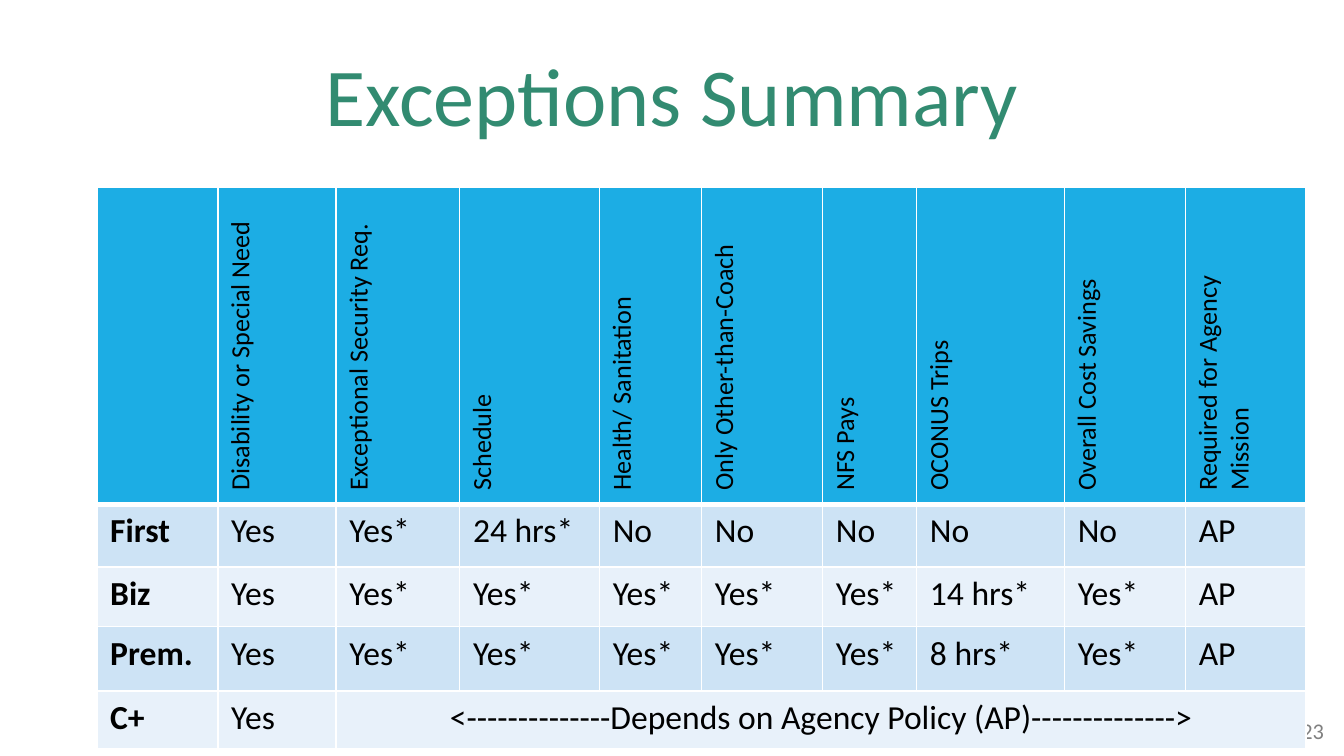
import dataclasses

import lxml.etree
import pptx
import pptx.dml.color
import pptx.enum.text
import pptx.oxml.ns
import pptx.util

ALIGN = pptx.enum.text.PP_ALIGN
ANCHOR = pptx.enum.text.MSO_ANCHOR


@dataclasses.dataclass(frozen=True)
class Theme:
    """Colours, font and type sizes of the deck."""

    font: str = "Calibri"
    title: str = "328B71"
    ink: str = "000000"
    muted: str = "808080"
    header: str = "1CADE4"
    bands: tuple = ("CDE3F5", "E8F1FA")
    rule: str = "FFFFFF"
    title_size: int = 44
    body_size: int = 18
    header_size: int = 14
    number_size: int = 12


THEME = Theme()
PAGE_WIDTH = 10
PAGE_HEIGHT = PAGE_WIDTH * 9 / 16
TITLE_BOX = (0.5, 0.23, 9, 0.94)
NUMBER_BOX = (9.39, 5.29, 0.56, 0.3)
TABLE_BOX = (0.72, 1.39, 9, 3.4)
COLUMNS = (0.9, 0.88, 0.92, 1.04, 0.76, 0.9, 0.7, 1.1, 0.9, 0.9)
ROWS = (1.58, 0.47, 0.44, 0.48, 0.43)
EXCEPTIONS = (
    "", "Disability or Special Need", "Exceptional Security Req.", "Schedule",
    "Health/ Sanitation", "Only Other-than-Coach", "NFS Pays", "OCONUS Trips",
    "Overall Cost Savings", "Required for Agency Mission",
)
CLASSES = (
    ("First", "Yes", "Yes*", "24 hrs*", *["No"] * 5, "AP"),
    ("Biz", "Yes", *["Yes*"] * 5, "14 hrs*", "Yes*", "AP"),
    ("Prem.", "Yes", *["Yes*"] * 5, "8 hrs*", "Yes*", "AP"),
    ("C+", "Yes", "<--------------Depends on Agency Policy (AP)-------------->"),
)


def colour(value):
    """Turn a hex value into a colour."""
    return pptx.dml.color.RGBColor.from_string(value)


def write(frame, text, size, ink, align=ALIGN.LEFT, bold=False):
    """Write one styled paragraph into a text frame."""
    para = frame.paragraphs[0]
    para.text = text
    para.alignment = align
    para.font.name = THEME.font
    para.font.size = pptx.util.Pt(size)
    para.font.bold = bold
    para.font.color.rgb = colour(ink)


def add_label(page, box, text, size, ink, align, anchor):
    """Add a wrapped text box that fills the given box."""
    frame = page.shapes.add_textbox(*map(pptx.util.Inches, box)).text_frame
    frame.word_wrap = True
    frame.vertical_anchor = anchor
    write(frame, text, size, ink, align)


def rule_cell(cell, bottom):
    """Draw the four borders of a cell, with widths in points."""
    qn = pptx.oxml.ns.qn
    properties = cell._tc.get_or_add_tcPr()
    for side, width in (("L", 1), ("R", 1), ("T", 1), ("B", bottom)):
        line = lxml.etree.SubElement(
            properties, qn(f"a:ln{side}"), w=str(pptx.util.Pt(width)))
        fill = lxml.etree.SubElement(line, qn("a:solidFill"))
        lxml.etree.SubElement(fill, qn("a:srgbClr"), val=THEME.rule)


def paint(cell, fill):
    """Fill a cell with one colour."""
    cell.fill.solid()
    cell.fill.fore_color.rgb = colour(fill)


def fill_header(table):
    """Write the exceptions upwards along the header row."""
    for cell, text in zip(table.rows[0].cells, EXCEPTIONS):
        rule_cell(cell, bottom=3)
        paint(cell, THEME.header)
        cell._tc.get_or_add_tcPr().set("vert", "vert270" if text else "horz")
        write(cell.text_frame, text, THEME.header_size, THEME.ink)


def fill_classes(table):
    """Write one banded row for each travel class."""
    for index, values in enumerate(CLASSES):
        cells = list(table.rows[index + 1].cells)
        for cell in cells:
            paint(cell, THEME.bands[index % 2])
        if len(values) < len(cells):
            cells[len(values) - 1].merge(cells[-1])
        for column, (cell, text) in enumerate(zip(cells, values)):
            align = ALIGN.CENTER if cell.is_merge_origin else ALIGN.LEFT
            write(cell.text_frame, text, THEME.body_size, THEME.ink, align, column == 0)


def add_summary(page, box):
    """Add the table of exceptions by travel class."""
    table = page.shapes.add_table(
        len(ROWS), len(COLUMNS), *map(pptx.util.Inches, box)).table
    for column, width in zip(table.columns, COLUMNS):
        column.width = pptx.util.Inches(width)
    for row, height in zip(table.rows, ROWS):
        row.height = pptx.util.Inches(height)
    fill_header(table)
    fill_classes(table)


def main():
    """Build and save the deck."""
    deck = pptx.Presentation()
    deck.slide_width = pptx.util.Inches(PAGE_WIDTH)
    deck.slide_height = pptx.util.Inches(PAGE_HEIGHT)
    page = deck.slides.add_slide(deck.slide_layouts[6])
    add_label(page, NUMBER_BOX, "23", THEME.number_size, THEME.muted,
              ALIGN.RIGHT, ANCHOR.TOP)
    add_label(page, TITLE_BOX, "Exceptions Summary", THEME.title_size,
              THEME.title, ALIGN.CENTER, ANCHOR.MIDDLE)
    add_summary(page, TABLE_BOX)
    deck.save("out.pptx")


if __name__ == "__main__":
    main()
